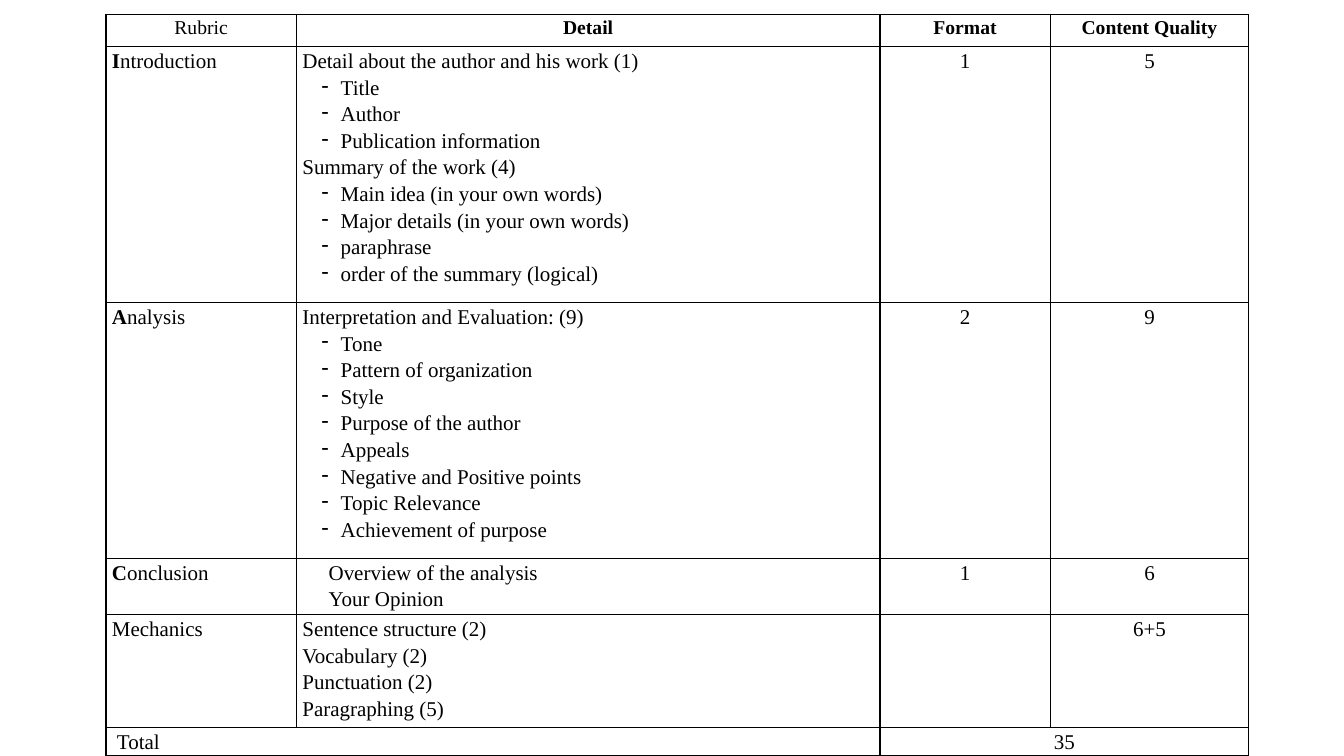
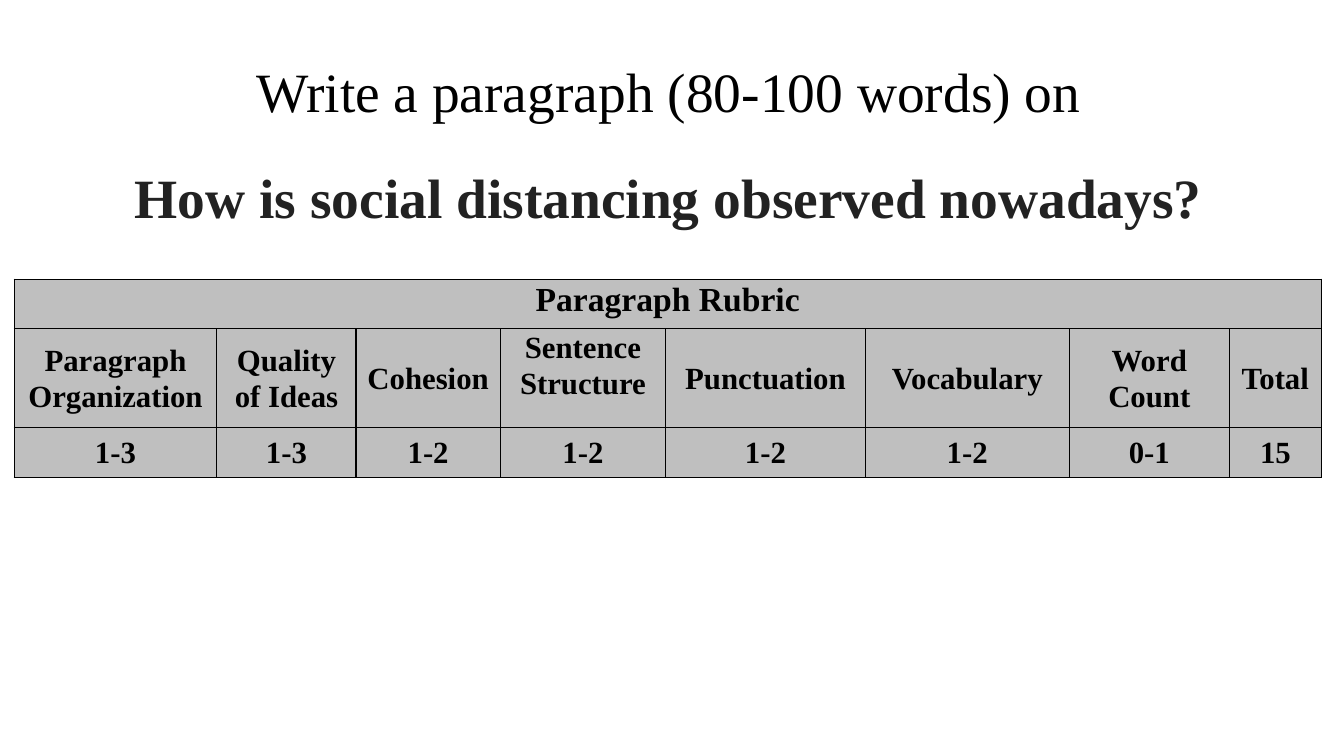
from dataclasses import dataclass, replace
from typing import Optional

from lxml.etree import SubElement
from pptx import Presentation
from pptx.dml.color import RGBColor
from pptx.enum.text import MSO_ANCHOR, PP_ALIGN
from pptx.oxml import parse_xml
from pptx.oxml.ns import nsdecls, qn
from pptx.slide import Slide
from pptx.table import _Cell
from pptx.text.text import TextFrame
from pptx.util import Emu, Inches, Pt

FONT = "Times New Roman"
BLACK = "000000"
CHARCOAL = "222222"
GREY = "BFBFBF"
SLIDE_WIDTH = Inches(13.33)
SLIDE_HEIGHT = Inches(7.5)


@dataclass(frozen=True)
class Area:
    """Position and size as percentages of the slide."""
    left: float
    top: float
    width: float
    height: float

    def lengths(self) -> tuple[Emu, Emu, Emu, Emu]:
        return (
            Emu(round(SLIDE_WIDTH * self.left / 100)),
            Emu(round(SLIDE_HEIGHT * self.top / 100)),
            Emu(round(SLIDE_WIDTH * self.width / 100)),
            Emu(round(SLIDE_HEIGHT * self.height / 100)),
        )


@dataclass(frozen=True)
class Line:
    text: str
    lead: str = ""
    size: float = 15
    bold: bool = False
    color: str = BLACK
    centred: bool = False
    indent: float = 0
    hanging: float = 0
    spacing: float = 1.15
    before: float = 0


@dataclass(frozen=True)
class Entry:
    lines: tuple[Line, ...] = ()
    span: int = 1
    middle: bool = False


@dataclass(frozen=True)
class Grid:
    area: Area
    columns: tuple[float, ...]
    rows: tuple[float, ...]
    side_inset: float
    fill: Optional[str] = None


def color_of(value: str) -> RGBColor:
    return RGBColor.from_string(value)


def write_lines(text_frame: TextFrame, lines: tuple[Line, ...]) -> None:
    text_frame.word_wrap = True
    for index, line in enumerate(lines):
        paragraph = text_frame.add_paragraph() if index else text_frame.paragraphs[0]
        paragraph.text = line.lead or line.text
        if line.lead:
            paragraph.add_run().text = line.text
        paragraph.alignment = PP_ALIGN.CENTER if line.centred else PP_ALIGN.LEFT
        paragraph.line_spacing = line.spacing
        if line.before:
            paragraph.space_before = Pt(line.before)
        properties = paragraph._p.get_or_add_pPr()
        properties.set("marL", str(Inches(line.indent)))
        properties.set("indent", str(-Inches(line.hanging)))
        if line.hanging:
            SubElement(properties, qn("a:buChar")).set("char", "-")
        for position, run in enumerate(paragraph.runs):
            run.font.name = FONT
            run.font.size = Pt(line.size)
            run.font.bold = line.bold or (bool(line.lead) and position == 0)
            run.font.color.rgb = color_of(line.color)


def style_cell(cell: _Cell, grid: Grid) -> None:
    cell.margin_left = cell.margin_right = Inches(grid.side_inset)
    cell.margin_top = cell.margin_bottom = 0
    if grid.fill:
        cell.fill.solid()
        cell.fill.fore_color.rgb = color_of(grid.fill)
    else:
        cell.fill.background()
    properties = cell._tc.get_or_add_tcPr()
    for index, side in enumerate(("lnL", "lnR", "lnT", "lnB")):
        border = parse_xml(
            f'<a:{side} {nsdecls("a")} w="{Pt(1)}"><a:solidFill>'
            f'<a:srgbClr val="{BLACK}"/></a:solidFill></a:{side}>'
        )
        properties.insert(index, border)


def draw_table(slide: Slide, grid: Grid, entries: list[list[Entry]]) -> None:
    left, top, width, height = grid.area.lengths()
    table = slide.shapes.add_table(
        len(grid.rows), len(grid.columns), left, top, width, height
    ).table
    table.first_row = table.horz_banding = False
    for column, share in zip(table.columns, grid.columns):
        column.width = Emu(round(width * share / sum(grid.columns)))
    for row, share in zip(table.rows, grid.rows):
        row.height = Emu(round(height * share / sum(grid.rows)))
    for cell in table.iter_cells():
        style_cell(cell, grid)
    for row_index, row_entries in enumerate(entries):
        column_index = 0
        for entry in row_entries:
            cell = table.cell(row_index, column_index)
            last = column_index + entry.span - 1
            if entry.span > 1:
                cell.merge(table.cell(row_index, last))
            if entry.middle:
                cell.vertical_anchor = MSO_ANCHOR.MIDDLE
            write_lines(cell.text_frame, entry.lines)
            column_index = last + 1


def score(text: str, span: int = 1) -> Entry:
    return Entry((Line(text, centred=True),) if text else (), span)


def section(lead: str, rest: str, details: list[Line], marks: str, quality: str) -> list[Entry]:
    return [Entry((Line(rest, lead),)), Entry(tuple(details)), score(marks), score(quality)]


def dashed(*texts: str) -> list[Line]:
    return [Line(text, indent=0.38, hanging=0.19) for text in texts]


def build_review_rubric(slide: Slide) -> None:
    grid = Grid(
        Area(7.88, 1.87, 85.04, 98.1),
        (1.89, 5.79, 1.69, 1.97),
        (0.32, 2.54, 2.54, 0.56, 1.12, 0.28),
        0.06,
    )
    header = [
        Entry((Line(text, size=14, bold=text != "Rubric", centred=True),))
        for text in ("Rubric", "Detail", "Format", "Content Quality")
    ]
    introduction = [
        Line("Detail about the author and his work (1)"),
        *dashed("Title", "Author", "Publication information"),
        Line("Summary of the work (4)"),
        *dashed(
            "Main idea (in your own words)",
            "Major details (in your own words)",
            "paraphrase",
            "order of the summary (logical)",
        ),
    ]
    analysis = [
        Line("Interpretation and Evaluation: (9)"),
        *dashed(
            "Tone",
            "Pattern of organization",
            "Style",
            "Purpose of the author",
            "Appeals",
            "Negative and Positive points",
            "Topic Relevance",
            "Achievement of purpose",
        ),
    ]
    conclusion = [
        Line(text, indent=0.26) for text in ("Overview of the analysis", "Your Opinion")
    ]
    mechanics = [
        Line(text)
        for text in (
            "Sentence structure (2)",
            "Vocabulary (2)",
            "Punctuation (2)",
            "Paragraphing (5)",
        )
    ]
    draw_table(slide, grid, [
        header,
        section("I", "ntroduction", introduction, "1", "5"),
        section("A", "nalysis", analysis, "2", "9"),
        section("C", "onclusion", conclusion, "1", "6"),
        section("", "Mechanics", mechanics, "", "6+5"),
        [Entry((Line("Total", indent=0.05),), span=2), score("35", span=2)],
    ])


def build_paragraph_task(slide: Slide) -> None:
    title = slide.shapes.add_textbox(*Area(6.6, 5.33, 86.27, 28.27).lengths())
    title.text_frame.vertical_anchor = MSO_ANCHOR.MIDDLE
    task = Line("Write a paragraph (80-100 words) on", size=39.6, centred=True, spacing=0.9)
    topic = replace(
        task,
        text="How is social distancing observed nowadays?",
        bold=True,
        color=CHARCOAL,
        before=33,
    )
    write_lines(title.text_frame, (task, topic))

    grid = Grid(
        Area(1.05, 36.93, 97.27, 26.2),
        (2.01, 1.38, 1.43, 1.64, 1.98, 2.02, 1.59, 0.91),
        (1, 2, 1),
        0.07,
        GREY,
    )
    criteria = {
        "Paragraph Organization": "1-3",
        "Quality of Ideas": "1-3",
        "Cohesion": "1-2",
        "Sentence Structure": "1-2",
        "Punctuation": "1-2",
        "Vocabulary": "1-2",
        "Word Count": "0-1",
        "Total": "15",
    }
    label = Line("", size=22, bold=True, centred=True, spacing=1.07)
    heading = replace(label, text="Paragraph Rubric", size=24)
    draw_table(slide, grid, [
        [Entry((heading,), span=len(criteria))],
        [
            Entry((replace(label, text=name),), middle=name != "Sentence Structure")
            for name in criteria
        ],
        [Entry((replace(label, text=marks),), middle=True) for marks in criteria.values()],
    ])


def main() -> None:
    presentation = Presentation()
    presentation.slide_width = SLIDE_WIDTH
    presentation.slide_height = SLIDE_HEIGHT
    blank_layout = presentation.slide_layouts[6]
    for build in (build_review_rubric, build_paragraph_task):
        build(presentation.slides.add_slide(blank_layout))
    presentation.save("out.pptx")


if __name__ == "__main__":
    main()
